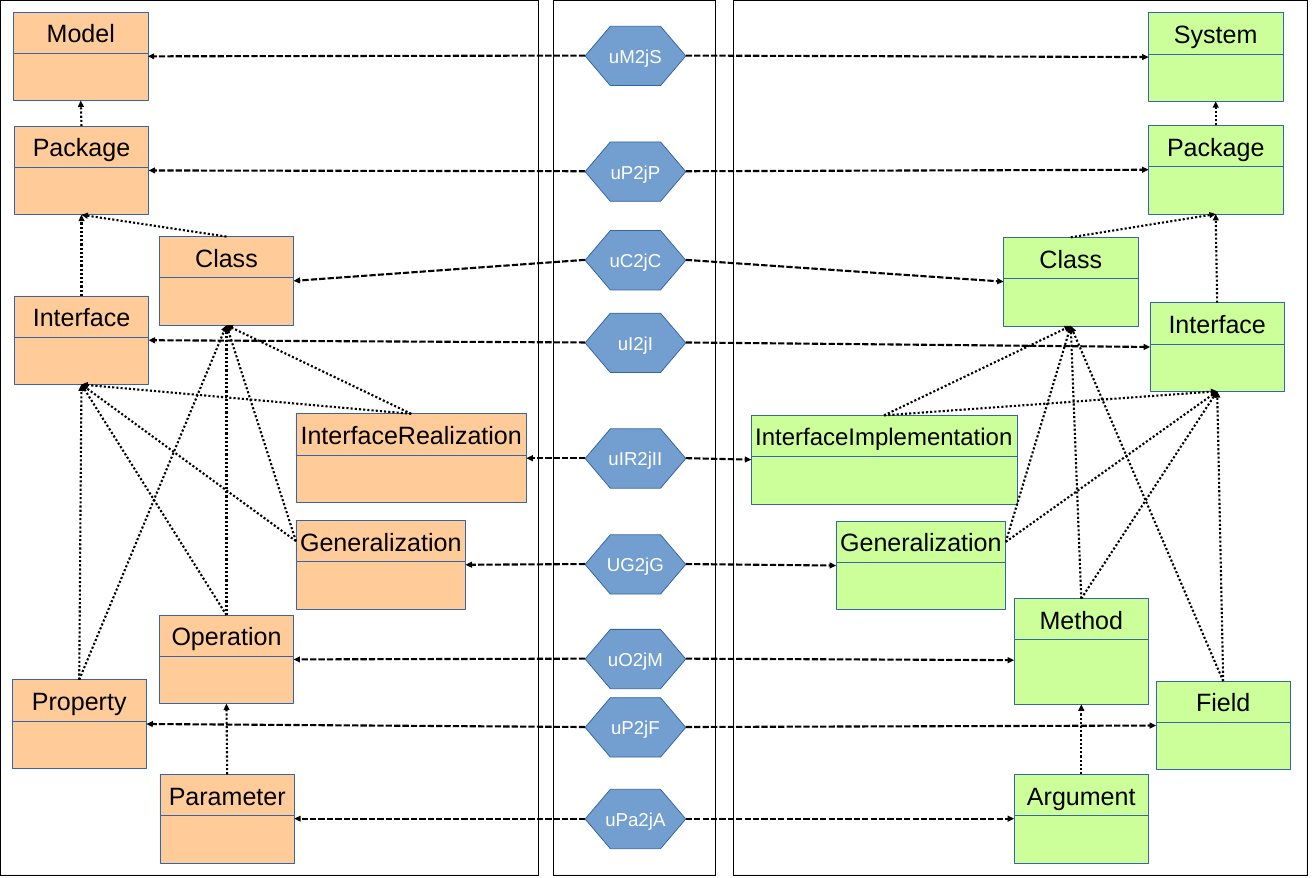
from lxml.etree import SubElement
from pptx import Presentation
from pptx.dml.color import RGBColor
from pptx.enum.dml import MSO_LINE
from pptx.enum.shapes import MSO_CONNECTOR, MSO_SHAPE
from pptx.enum.text import MSO_ANCHOR, PP_ALIGN
from pptx.oxml.ns import qn
from pptx.util import Pt

PX = 9144
PAGE_WIDTH, PAGE_HEIGHT = 1752, 1169
FONT = "Arial"
COLORS = {
    "uml": "FFCC99",
    "java": "CCFF99",
    "mapping": "729FCF",
    "border": "3465A4",
    "black": "000000",
    "white": "FFFFFF",
}
TOP, LEFT, BOTTOM, RIGHT = range(4)

PANELS = [(0, 717), (737, 215), (976, 764)]
PANEL_HEIGHT = 1165

CLASS_WIDTH, CLASS_HEIGHT, HEADER_HEIGHT = 179, 118, 55
CLASSES = {
    "uml": [
        ("Model", 18, 16, CLASS_WIDTH),
        ("Package", 19, 168, CLASS_WIDTH),
        ("Class", 212, 315, CLASS_WIDTH),
        ("Interface", 19, 394, CLASS_WIDTH),
        ("InterfaceRealization", 394, 551, 307),
        ("Generalization", 394, 693, 226),
        ("Operation", 212, 819, CLASS_WIDTH),
        ("Property", 16, 905, CLASS_WIDTH),
        ("Parameter", 213, 1031, CLASS_WIDTH),
    ],
    "java": [
        ("System", 1529, 17, CLASS_WIDTH),
        ("Package", 1529, 167, CLASS_WIDTH),
        ("Class", 1336, 316, CLASS_WIDTH),
        ("Interface", 1531, 403, CLASS_WIDTH),
        ("InterfaceImplementation", 1000, 553, 354),
        ("Generalization", 1113, 694, 226),
        ("Method", 1350, 820, CLASS_WIDTH),
        ("Field", 1539, 907, CLASS_WIDTH),
        ("Argument", 1350, 1031, CLASS_WIDTH),
    ],
}
HEADER_RAISE = {"Method": 23}
NAME_SIZES = {"InterfaceImplementation": 23}

MAPPING_LEFT, MAPPING_WIDTH, MAPPING_HEIGHT = 779, 134, 79
MAPPINGS = [
    ("uM2jS", 35, "Model", "System"),
    ("uP2jP", 189, "Package", "Package"),
    ("uC2jC", 307, "Class", "Class"),
    ("uI2jI", 417, "Interface", "Interface"),
    ("uIR2jII", 571, "InterfaceRealization", "InterfaceImplementation"),
    ("UG2jG", 712, "Generalization", "Generalization"),
    ("uO2jM", 838, "Operation", "Method"),
    ("uP2jF", 929, "Property", "Field"),
    ("uPa2jA", 1051, "Parameter", "Argument"),
]

OWNERS = {
    "uml": {
        "Package": ["Model"],
        "Class": ["Package"],
        "Interface": ["Package"],
        "InterfaceRealization": ["Interface", "Class"],
        "Generalization": ["Interface", "Class"],
        "Operation": ["Interface", "Class"],
        "Property": ["Interface", "Class"],
        "Parameter": ["Operation"],
    },
    "java": {
        "Package": ["System"],
        "Class": ["Package"],
        "Interface": ["Package"],
        "InterfaceImplementation": ["Interface", "Class"],
        "Generalization": ["Interface", "Class"],
        "Method": ["Interface", "Class"],
        "Field": ["Interface", "Class"],
        "Argument": ["Method"],
    },
}


def color(name):
    return RGBColor.from_string(COLORS[name])


def add_box(page, preset, left, top, width, height, fill, border):
    box = page.shapes.add_shape(preset, left * PX, top * PX, width * PX, height * PX)
    box.shadow.inherit = False
    box.fill.solid()
    box.fill.fore_color.rgb = color(fill)
    box.line.color.rgb = color(border)
    box.line.width = Pt(0)
    return box


def add_label(box, text, size, text_color):
    frame = box.text_frame
    frame.word_wrap = False
    frame.vertical_anchor = MSO_ANCHOR.MIDDLE
    para = frame.paragraphs[0]
    para.alignment = PP_ALIGN.CENTER
    span = para.add_run()
    span.text = text
    span.font.name = FONT
    span.font.size = Pt(size)
    span.font.color.rgb = color(text_color)


def add_arrow(page, dash, target, target_side, source=None, source_side=None, start=(0, 0)):
    x, y = (value * PX for value in start)
    arrow = page.shapes.add_connector(MSO_CONNECTOR.STRAIGHT, x, y, x, y)
    if source is not None:
        arrow.begin_connect(source, source_side)
    arrow.end_connect(target, target_side)
    arrow.line.color.rgb = color("black")
    arrow.line.width = Pt(0)
    arrow.line.dash_style = dash
    properties = arrow.line._get_or_add_ln()
    SubElement(properties, qn("a:tailEnd"), type="triangle")
    SubElement(arrow._element.spPr, qn("a:effectLst"))


def add_classes(page):
    headers, bodies = {}, {}
    for side, entries in CLASSES.items():
        for name, left, top, width in entries:
            key = side, name
            bodies[key] = add_box(page, MSO_SHAPE.RECTANGLE, left, top, width,
                                  CLASS_HEIGHT, side, "border")
            header_top = top - HEADER_RAISE.get(name, 0)
            headers[key] = add_box(page, MSO_SHAPE.RECTANGLE, left, header_top, width,
                                   HEADER_HEIGHT, side, "border")
            add_label(headers[key], name, NAME_SIZES.get(name, 24), "black")
    return headers, bodies


def add_mappings(page, bodies):
    for label, top, uml_name, java_name in MAPPINGS:
        hexagon = add_box(page, MSO_SHAPE.HEXAGON, MAPPING_LEFT, top, MAPPING_WIDTH,
                          MAPPING_HEIGHT, "mapping", "border")
        hexagon.adjustments[0] = 0.425
        add_label(hexagon, label, 17.9, "white")
        middle = top + MAPPING_HEIGHT // 2
        add_arrow(page, MSO_LINE.SQUARE_DOT, bodies["uml", uml_name], RIGHT,
                  start=(MAPPING_LEFT, middle))
        add_arrow(page, MSO_LINE.SQUARE_DOT, bodies["java", java_name], LEFT,
                  start=(MAPPING_LEFT + MAPPING_WIDTH, middle))


def add_owner_arrows(page, headers, bodies):
    for side, owners in OWNERS.items():
        inner_side = LEFT if side == "uml" else RIGHT
        for name, targets in owners.items():
            source_side = inner_side if name == "Generalization" else TOP
            for target in targets:
                add_arrow(page, MSO_LINE.ROUND_DOT, bodies[side, target], BOTTOM,
                          headers[side, name], source_side)


def main():
    deck = Presentation()
    deck.slide_width, deck.slide_height = PAGE_WIDTH * PX, PAGE_HEIGHT * PX
    page = deck.slides.add_slide(deck.slide_layouts[6])
    for left, width in PANELS:
        panel = add_box(page, MSO_SHAPE.FRAME, left, 0, width, PANEL_HEIGHT,
                        "mapping", "black")
        panel.adjustments[0] = 0
    headers, bodies = add_classes(page)
    add_mappings(page, bodies)
    add_owner_arrows(page, headers, bodies)
    deck.save("out.pptx")


if __name__ == "__main__":
    main()
